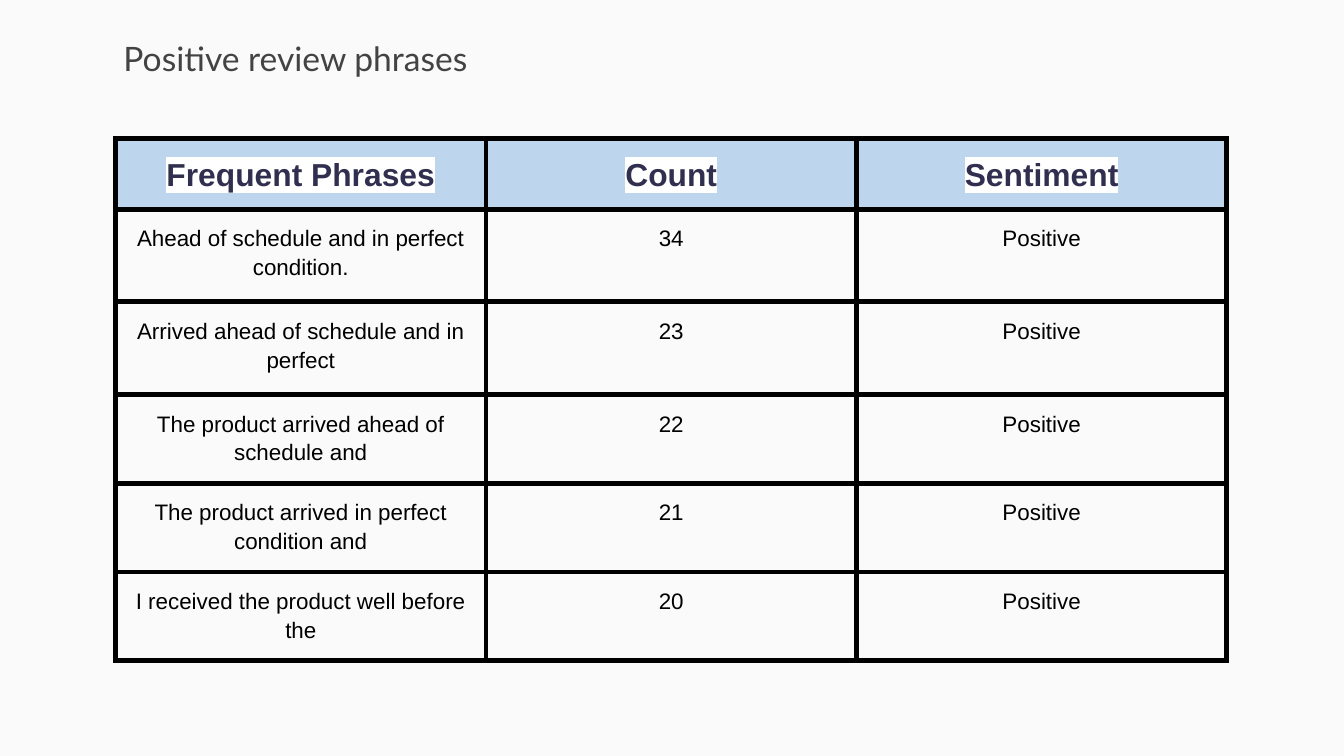
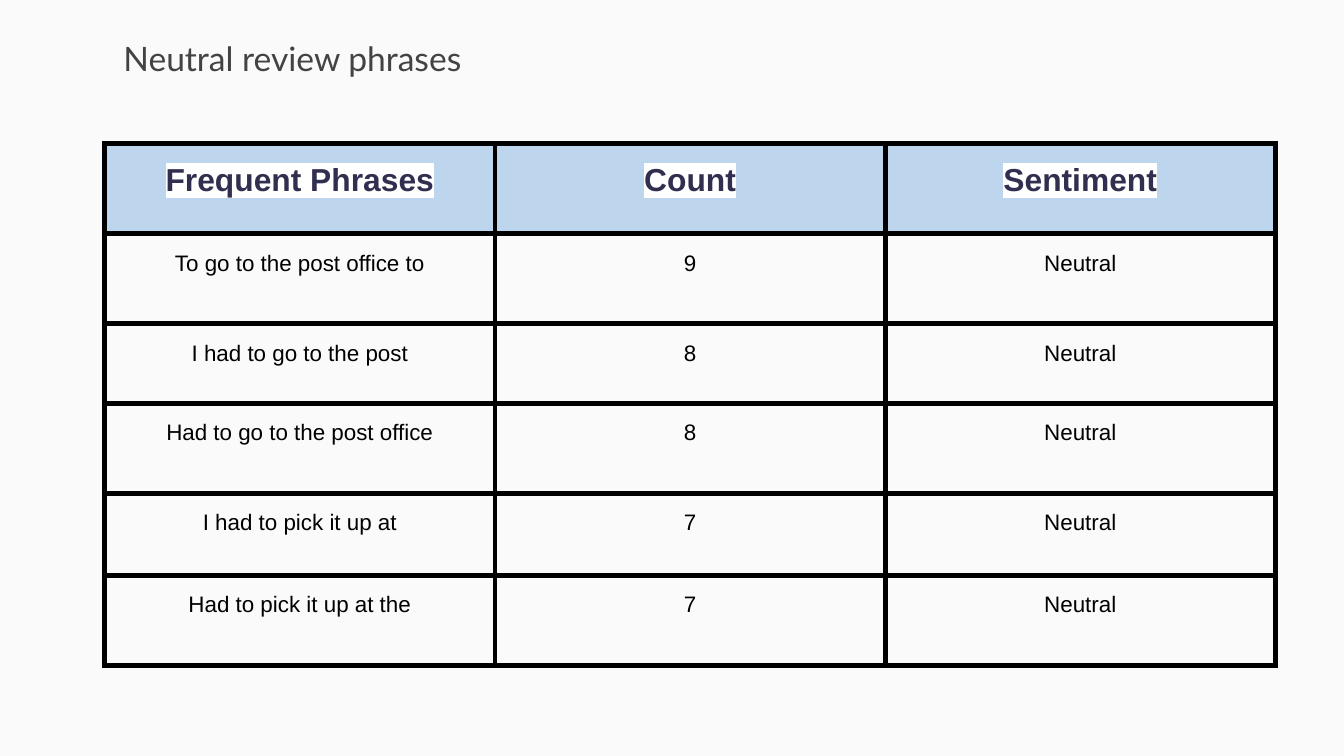
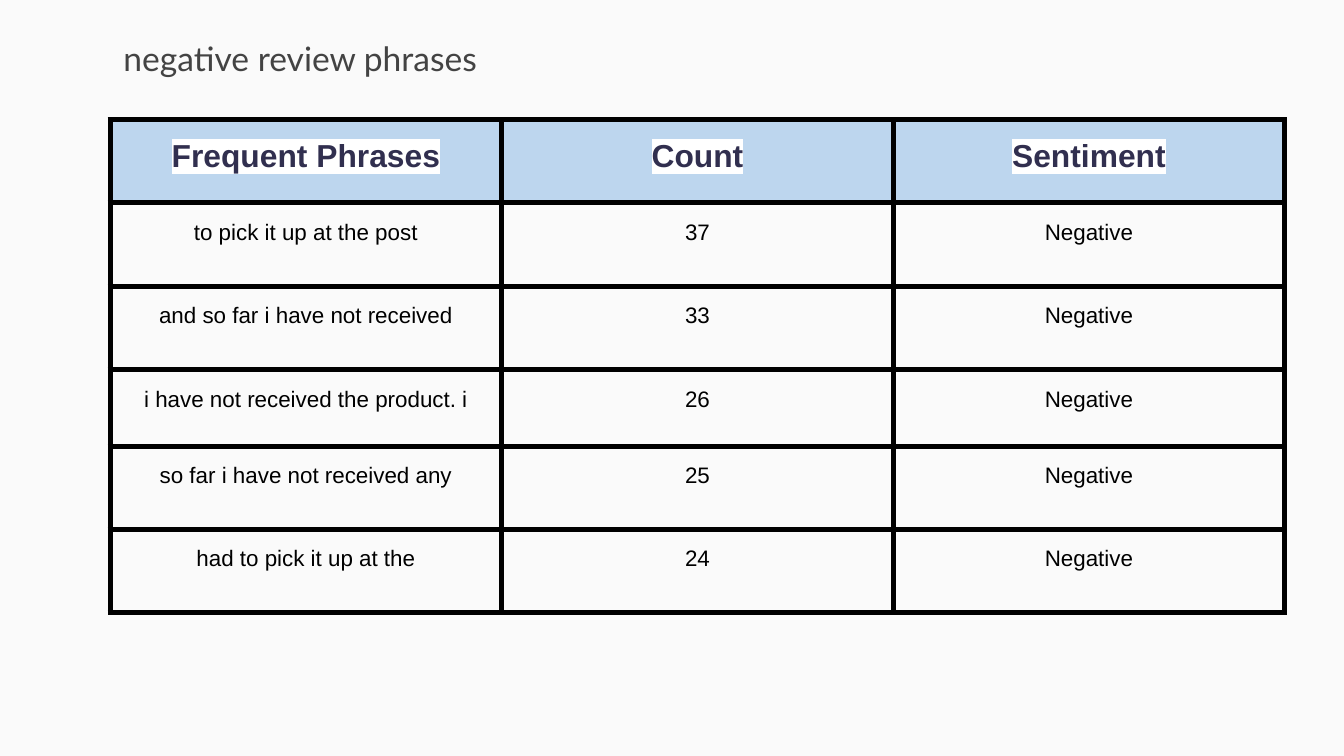
from dataclasses import dataclass

from lxml.etree import SubElement
from pptx import Presentation
from pptx.dml.color import RGBColor
from pptx.enum.text import MSO_ANCHOR, PP_ALIGN
from pptx.oxml import parse_xml
from pptx.oxml.ns import qn
from pptx.util import Emu, Inches, Pt

# Slide size and the grid that all lengths are counted in
SLIDE_WIDTH, SLIDE_HEIGHT = Inches(10), Inches(5.625)
GRID_COLUMNS, GRID_ROWS = 100, 56.25
DRAWING = "http://schemas.openxmlformats.org/drawingml/2006/main"


@dataclass(frozen=True)
class TextStyle:
    font: str
    size: float
    color: str
    bold: bool = False
    highlight: str = ""


@dataclass(frozen=True)
class Theme:
    background: str = "FAFAFA"
    header_fill: str = "BDD6EE"
    border: str = "000000"
    border_points: float = 3
    line_spacing: float = 1.15
    title: TextStyle = TextStyle("Lato", 18, "434343")
    header: TextStyle = TextStyle("Arial", 17, "312F4F", True, "FFFFFF")
    body: TextStyle = TextStyle("Arial", 12, "000000")


@dataclass(frozen=True)
class Area:
    """Place and size in grid columns and rows."""
    left: float
    top: float
    width: float
    height: float


@dataclass(frozen=True)
class PhrasePage:
    title: str
    sentiment: str
    table_area: Area
    row_heights: tuple[float, ...]
    phrase_counts: tuple[tuple[str, int], ...]


THEME = Theme()
TITLE_AREA = Area(8.2, 1.7, 34.9, 5.3)
HEADINGS = ("Frequent Phrases", "Count", "Sentiment")

PAGES = (
    PhrasePage(
        "Positive review phrases", "Positive",
        Area(8.6, 10.3, 82.7, 38.4), (2.7, 6.9, 6.9, 5, 5, 5),
        (("Ahead of schedule and in perfect condition.", 34),
         ("Arrived ahead of schedule and in perfect", 23),
         ("The product arrived ahead of schedule and", 22),
         ("The product arrived in perfect condition and", 21),
         ("I received the product well before the", 20)),
    ),
    PhrasePage(
        "Neutral review phrases", "Neutral",
        Area(7.8, 10.7, 87.1, 38.7), (6.7, 6.7, 5.9, 6.7, 6.1, 6.7),
        (("To go to the post office to", 9),
         ("I had to go to the post", 8),
         ("Had to go to the post office", 8),
         ("I had to pick it up at", 7),
         ("Had to pick it up at the", 7)),
    ),
    PhrasePage(
        "negative review phrases", "Negative",
        Area(8.2, 8.9, 87.4, 36.7), (6.2, 6.2, 6.2, 5.7, 6.2, 6.2),
        (("to pick it up at the post", 37),
         ("and so far i have not received", 33),
         ("i have not received the product. i", 26),
         ("so far i have not received any", 25),
         ("had to pick it up at the", 24)),
    ),
)


def across(columns: float) -> Emu:
    return Emu(round(SLIDE_WIDTH * columns / GRID_COLUMNS))


def down(rows: float) -> Emu:
    return Emu(round(SLIDE_HEIGHT * rows / GRID_ROWS))


def place(area: Area) -> tuple[Emu, Emu, Emu, Emu]:
    return across(area.left), down(area.top), across(area.width), down(area.height)


def style_paragraph(para, style: TextStyle) -> None:
    for span in para.runs:
        span.font.name = style.font
        span.font.size = Pt(style.size)
        span.font.bold = style.bold
        span.font.color.rgb = RGBColor.from_string(style.color)
        if style.highlight:
            span.font.fill._xPr.find(qn("a:solidFill")).addnext(parse_xml(
                f'<a:highlight xmlns:a="{DRAWING}">'
                f'<a:srgbClr val="{style.highlight}"/></a:highlight>'))


def add_title(page, title: str) -> None:
    box = page.shapes.add_textbox(*place(TITLE_AREA))
    frame = box.text_frame
    frame.word_wrap = True
    frame.vertical_anchor = MSO_ANCHOR.MIDDLE
    frame.margin_left = frame.margin_right = across(1)
    frame.margin_top = frame.margin_bottom = down(1)
    frame.text = title
    style_paragraph(frame.paragraphs[0], THEME.title)


def add_borders(cell) -> None:
    properties = cell._tc.get_or_add_tcPr()
    for side in ("lnL", "lnR", "lnT", "lnB"):
        line = SubElement(properties, qn(f"a:{side}"), w=str(Pt(THEME.border_points)))
        fill = SubElement(line, qn("a:solidFill"))
        SubElement(fill, qn("a:srgbClr"), val=THEME.border)


def fill_cell(cell, text: str, is_header: bool) -> None:
    cell.margin_left = cell.margin_right = across(0.7)
    cell.margin_top = cell.margin_bottom = down(1)
    add_borders(cell)
    if is_header:
        cell.fill.solid()
        cell.fill.fore_color.rgb = RGBColor.from_string(THEME.header_fill)
    else:
        cell.fill.background()
    cell.text_frame.text = text
    para = cell.text_frame.paragraphs[0]
    para.alignment = PP_ALIGN.CENTER
    para.line_spacing = THEME.line_spacing
    style_paragraph(para, THEME.header if is_header else THEME.body)


def add_phrase_table(page, content: PhrasePage) -> None:
    rows = [HEADINGS] + [(phrase, str(count), content.sentiment)
                         for phrase, count in content.phrase_counts]
    area = content.table_area
    box = page.shapes.add_table(len(rows), len(HEADINGS), *place(area))
    table = box.table
    table.first_row = table.horz_banding = False
    for row, height in zip(table.rows, content.row_heights):
        row.height = down(height)
    box.height = down(area.height)
    for row_index, texts in enumerate(rows):
        for column_index, text in enumerate(texts):
            fill_cell(table.cell(row_index, column_index), text, row_index == 0)


def main() -> None:
    deck = Presentation()
    deck.slide_width, deck.slide_height = SLIDE_WIDTH, SLIDE_HEIGHT
    blank = deck.slide_layouts[6]
    # One page per sentiment
    for content in PAGES:
        page = deck.slides.add_slide(blank)
        page.background.fill.solid()
        page.background.fill.fore_color.rgb = RGBColor.from_string(THEME.background)
        add_title(page, content.title)
        add_phrase_table(page, content)
    deck.save("out.pptx")


if __name__ == "__main__":
    main()
